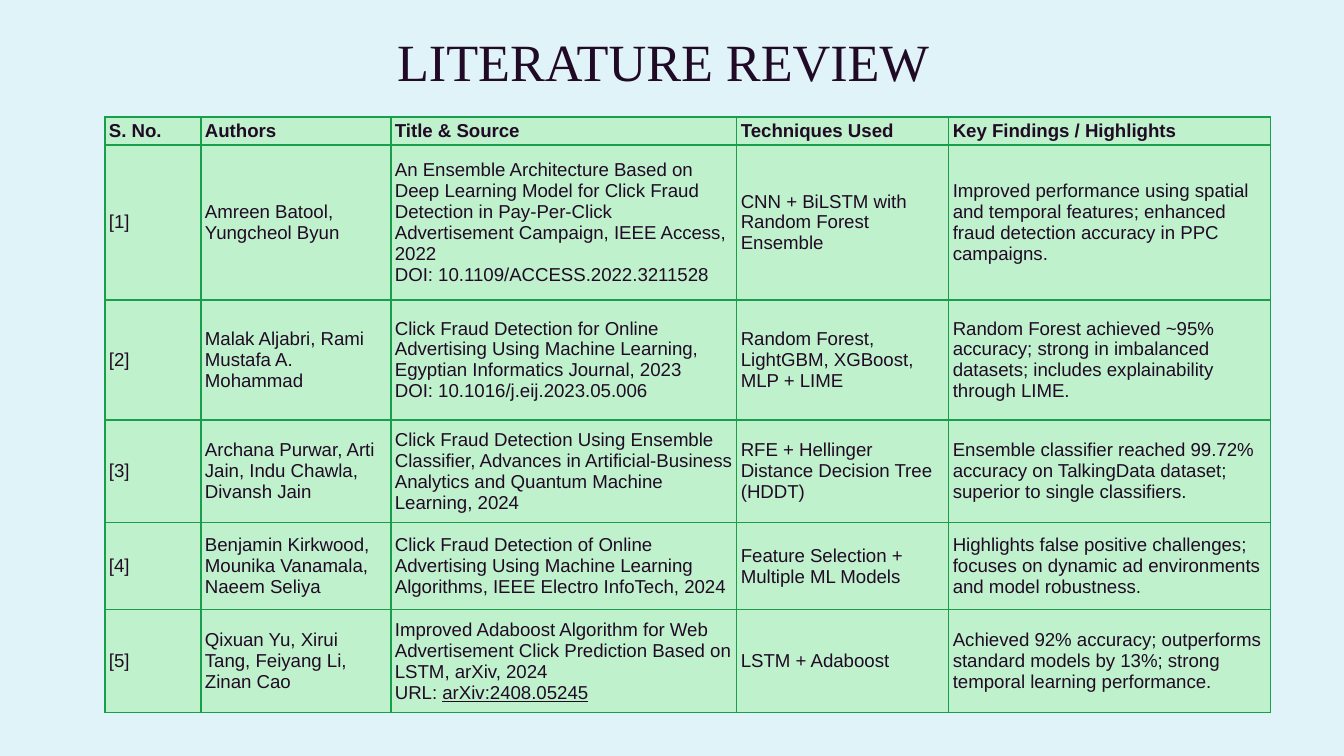
from lxml import etree
from pptx import Presentation
from pptx.dml.color import RGBColor
from pptx.enum.text import MSO_ANCHOR, PP_ALIGN
from pptx.oxml.ns import qn
from pptx.util import Emu, Pt

CENTER = PP_ALIGN.CENTER
TOP, MIDDLE = MSO_ANCHOR.TOP, MSO_ANCHOR.MIDDLE
INK, BACKGROUND, CELL_FILL, BORDER = "210A26", "DFF3F8", "BFF2CC", "199E4C"

COLUMNS = [96, 190, 346, 212, 322]
ROWS = [28, 155, 120, 103, 87, 103]
HEADER = ["S. No.", "Authors", "Title & Source", "Techniques Used",
          "Key Findings / Highlights"]
# A line break is "\v"; text between underscores is underlined
PAPERS = [
    ["Amreen Batool, Yungcheol Byun",
     "An Ensemble Architecture Based on Deep Learning Model for Click Fraud Detection in "
     "Pay-Per-Click Advertisement Campaign, IEEE Access, 2022\vDOI: 10.1109/ACCESS.2022.3211528",
     "CNN + BiLSTM with Random Forest Ensemble",
     "Improved performance using spatial and temporal features; enhanced fraud detection "
     "accuracy in PPC campaigns."],
    ["Malak Aljabri, Rami Mustafa A. Mohammad",
     "Click Fraud Detection for Online Advertising Using Machine Learning, "
     "Egyptian Informatics Journal, 2023\vDOI: 10.1016/j.eij.2023.05.006",
     "Random Forest, LightGBM, XGBoost, MLP + LIME",
     "Random Forest achieved ~95% accuracy; strong in imbalanced datasets; includes "
     "explainability through LIME."],
    ["Archana Purwar, Arti Jain, Indu Chawla, Divansh Jain",
     "Click Fraud Detection Using Ensemble Classifier, Advances in Artificial-Business "
     "Analytics and Quantum Machine Learning, 2024",
     "RFE + Hellinger Distance Decision Tree (HDDT)",
     "Ensemble classifier reached 99.72% accuracy on TalkingData dataset; superior to "
     "single classifiers."],
    ["Benjamin Kirkwood, Mounika Vanamala, Naeem Seliya",
     "Click Fraud Detection of Online Advertising Using Machine Learning Algorithms, "
     "IEEE Electro InfoTech, 2024",
     "Feature Selection + Multiple ML Models",
     "Highlights false positive challenges; focuses on dynamic ad environments and model "
     "robustness."],
    ["Qixuan Yu, Xirui Tang, Feiyang Li, Zinan Cao",
     "Improved Adaboost Algorithm for Web Advertisement Click Prediction Based on LSTM, "
     "arXiv, 2024\vURL: _arXiv:2408.05245_",
     "LSTM + Adaboost",
     "Achieved 92% accuracy; outperforms standard models by 13%; strong temporal learning "
     "performance."],
]


def px(n):
    return Emu(round(n * 914400 / 134.4))


def rgb(color):
    return RGBColor.from_string(color)


def set_font(p, name, size, bold=False):
    p.font.name, p.font.size, p.font.bold = name, Pt(size), bold
    p.font.color.rgb = rgb(INK)


def add_title(s, text):
    tf = s.shapes.add_textbox(px(172), px(0), px(982), px(141)).text_frame
    tf.word_wrap = True
    tf.vertical_anchor = TOP
    tf.margin_left = tf.margin_right = tf.margin_bottom = px(13)
    tf.margin_top = px(20)
    p = tf.paragraphs[0]
    p.text = text
    p.alignment = CENTER
    p.line_spacing = 1.15
    set_font(p, "Times New Roman", 28)


def add_borders(cell):
    tc_pr = cell._tc.get_or_add_tcPr()
    for i, side in enumerate(("a:lnL", "a:lnR", "a:lnT", "a:lnB")):
        ln = etree.Element(qn(side), w=str(Pt(0.75)))
        fill = etree.SubElement(ln, qn("a:solidFill"))
        etree.SubElement(fill, qn("a:srgbClr"), val=BORDER)
        tc_pr.insert(i, ln)


def fill_cell(cell, text, bold):
    cell.fill.solid()
    cell.fill.fore_color.rgb = rgb(CELL_FILL)
    add_borders(cell)
    cell.vertical_anchor = MIDDLE
    cell.margin_left = cell.margin_right = px(4)
    cell.margin_top = cell.margin_bottom = px(2)
    plain, *underlined = text.strip("_").split("_")
    p = cell.text_frame.paragraphs[0]
    p.text = plain
    for part in underlined:
        r = p.add_run()
        r.text = part
        r.font.underline = True
    set_font(p, "Arial", 10, bold)


def add_review_table(s, rows):
    frame = s.shapes.add_table(len(ROWS), len(COLUMNS), px(105), px(117),
                               px(sum(COLUMNS)), px(sum(ROWS)))
    table = frame.table
    table.first_row = table.horz_banding = False
    for column, width in zip(table.columns, COLUMNS):
        column.width = px(width)
    for row, height, texts in zip(table.rows, ROWS, rows):
        row.height = px(height)
        for cell, text in zip(row.cells, texts):
            fill_cell(cell, text, bold=texts is HEADER)


def main():
    prs = Presentation()
    prs.slide_width, prs.slide_height = px(1344), px(756)
    s = prs.slides.add_slide(prs.slide_layouts[6])
    s.background.fill.solid()
    s.background.fill.fore_color.rgb = rgb(BACKGROUND)

    add_title(s, "LITERATURE REVIEW")

    # Papers are numbered in order
    numbered = [[f"[{i}]", *paper] for i, paper in enumerate(PAPERS, 1)]
    add_review_table(s, [HEADER, *numbered])

    prs.save("out.pptx")


if __name__ == "__main__":
    main()
